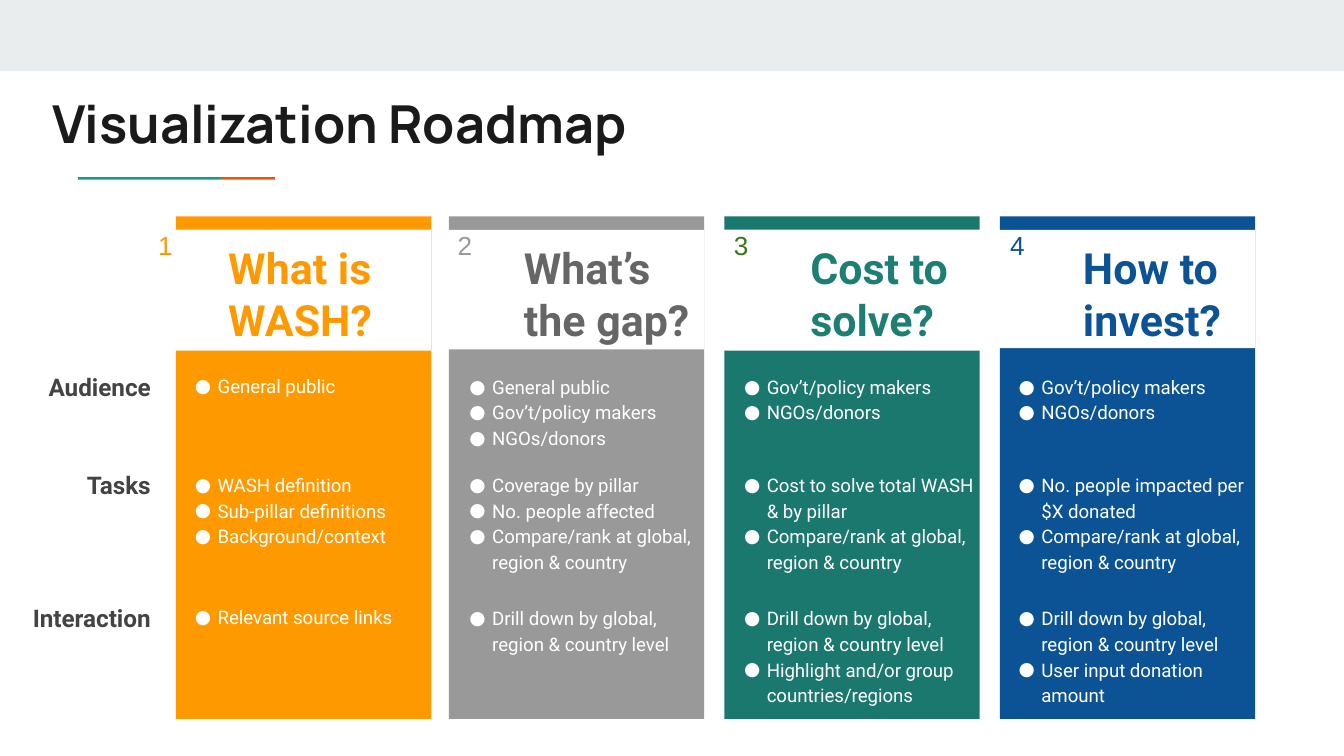
from lxml.etree import SubElement
from pptx import Presentation
from pptx.dml.color import RGBColor
from pptx.enum.shapes import MSO_SHAPE
from pptx.enum.text import PP_ALIGN
from pptx.oxml.ns import qn
from pptx.util import Pt

# Content
TITLE = "Visualization Roadmap"
ROWS = [("Audience", 192.2), ("Tasks", 244.8), ("Interaction", 316.1)]
COMPARE = "Compare/rank at global, region & country"
DRILL = "Drill down by global, region & country level"
FUNDERS = ["Gov’t/policy makers", "NGOs/donors"]
STAGES = [
    dict(heading="What is WASH?", fill="FF9900", heading_color="FF9900", number_color="FF9900",
         left=94.3, panel_left=91.4, panel_height=64.8, heading_left=115.2, number_center=88.6,
         cells=[["General public"],
                ["WASH definition", "Sub-pillar definitions", "Background/context"],
                ["Relevant source links"]]),
    dict(heading="What’s\nthe gap?", fill="999999", heading_color="666666", number_color="999999",
         left=240.5, panel_left=237.6, panel_height=64.1, heading_left=273.6, number_center=249.1,
         cells=[["General public"] + FUNDERS,
                ["Coverage by pillar", "No. people affected", COMPARE],
                [DRILL]]),
    dict(heading="Cost to solve?", fill="1B786E", heading_color="1D7E74", number_color="38761D",
         left=388.1, panel_left=386.6, panel_height=64.8, heading_left=427, number_center=397.1,
         cells=[FUNDERS,
                ["Cost to solve total WASH & by pillar", COMPARE],
                [DRILL, "Highlight and/or group countries/regions"]]),
    dict(heading="How to invest?", fill="0B5394", heading_color="0B5394", number_color="0B5394",
         left=535.7, panel_left=532.8, panel_height=63.4, heading_left=573.1, number_center=545,
         cells=[FUNDERS,
                ["No. people impacted per $X donated", COMPARE],
                [DRILL, "User input donation amount"]]),
]

# Layout
COLUMN_TOP, COLUMN_WIDTH, COLUMN_HEIGHT = 115.9, 136.8, 269.3
PANEL_TOP, PANEL_WIDTH = 123.1, 139.7
LIST_LEFT, LIST_PITCH, LIST_WIDTH, LIST_HEIGHT = 95.8, 147.1, 140.4, 58.3
LABEL_RIGHT, LABEL_WIDTH = 87.8, 86.4
NUMBER_WIDTH = 37

prs = Presentation()
prs.slide_width, prs.slide_height = Pt(720), Pt(405)
slide = prs.slides.add_slide(prs.slide_layouts[6])


def rgb(value):
    return RGBColor.from_string(value)


def add_rect(left, top, width, height, color):
    rect = slide.shapes.add_shape(MSO_SHAPE.RECTANGLE, Pt(left), Pt(top), Pt(width), Pt(height))
    rect.shadow.inherit = False
    rect.fill.solid()
    rect.fill.fore_color.rgb = rgb(color)
    rect.line.fill.background()


def add_text(text, left, top, width, height, size, color,
             font="Roboto", bold=False, align=PP_ALIGN.LEFT, inset=7.2):
    frame = slide.shapes.add_textbox(Pt(left), Pt(top), Pt(width), Pt(height)).text_frame
    frame.word_wrap = True
    frame.margin_left = frame.margin_right = Pt(7.2)
    frame.margin_top = frame.margin_bottom = Pt(inset)
    frame.text = text
    for paragraph in frame.paragraphs:
        paragraph.alignment = align
        for run in paragraph.runs:
            run.font.size, run.font.name, run.font.bold = Pt(size), font, bold
            run.font.color.rgb = rgb(color)
    return frame


def add_bullets(frame, color):
    for paragraph in frame.paragraphs:
        paragraph.line_spacing = 1.15
        props = paragraph._p.get_or_add_pPr()
        props.set("marL", str(Pt(13.7)))
        props.set("indent", str(Pt(-12.2)))
        bullet_color = SubElement(props, qn("a:buClr"))
        SubElement(bullet_color, qn("a:srgbClr"), val=color)
        SubElement(props, qn("a:buFont"), typeface="Roboto")
        SubElement(props, qn("a:buChar"), char="●")


# Top band, title and two-colour underline
add_rect(0, 0, 720, 38.2, "E9EDEE")
add_rect(118.4, 94.9, 29, 1.4, "EB5600")
add_rect(41.8, 94.9, 76.6, 1.4, "1A9988")
add_text(TITLE, 20.9, 41.8, 678.2, 47.5, 28, "1A1A1A", font="Manrope", bold=True)

# Row labels
for label, top in ROWS:
    add_text(label, LABEL_RIGHT - LABEL_WIDTH, top, LABEL_WIDTH, 27.4, 13, "434343",
             bold=True, align=PP_ALIGN.RIGHT)

# Stage columns
for index, stage in enumerate(STAGES):
    add_rect(stage["left"], COLUMN_TOP, COLUMN_WIDTH, COLUMN_HEIGHT, stage["fill"])
    add_rect(stage["panel_left"], PANEL_TOP, PANEL_WIDTH, stage["panel_height"], "FFFFFF")
    add_text(stage["heading"], stage["heading_left"], 122.4, 125.3, 44.6, 23,
             stage["heading_color"], bold=True)
    for (label, top), items in zip(ROWS, stage["cells"]):
        bullets = add_text("\n".join(items), LIST_LEFT + index * LIST_PITCH, top,
                           LIST_WIDTH, LIST_HEIGHT, 10, "FFFFFF")
        add_bullets(bullets, "FFFFFF")

# Stage numbers, in front of the panels
for number, stage in enumerate(STAGES, 1):
    add_text(str(number), stage["number_center"] - NUMBER_WIDTH / 2, 119.5, NUMBER_WIDTH, 69.8,
             14, stage["number_color"], font="Arial", align=PP_ALIGN.CENTER, inset=3.6)

prs.save("out.pptx")
